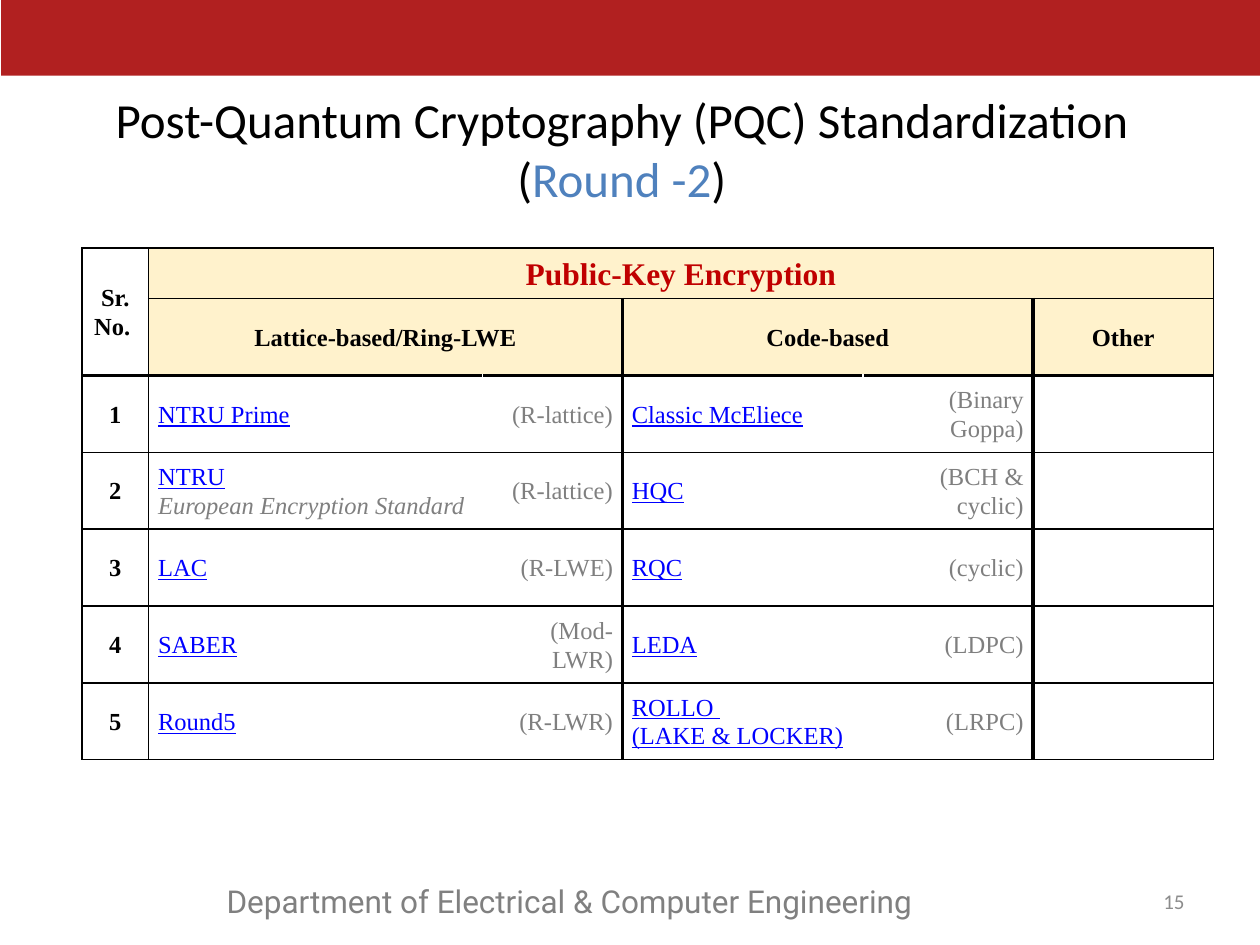
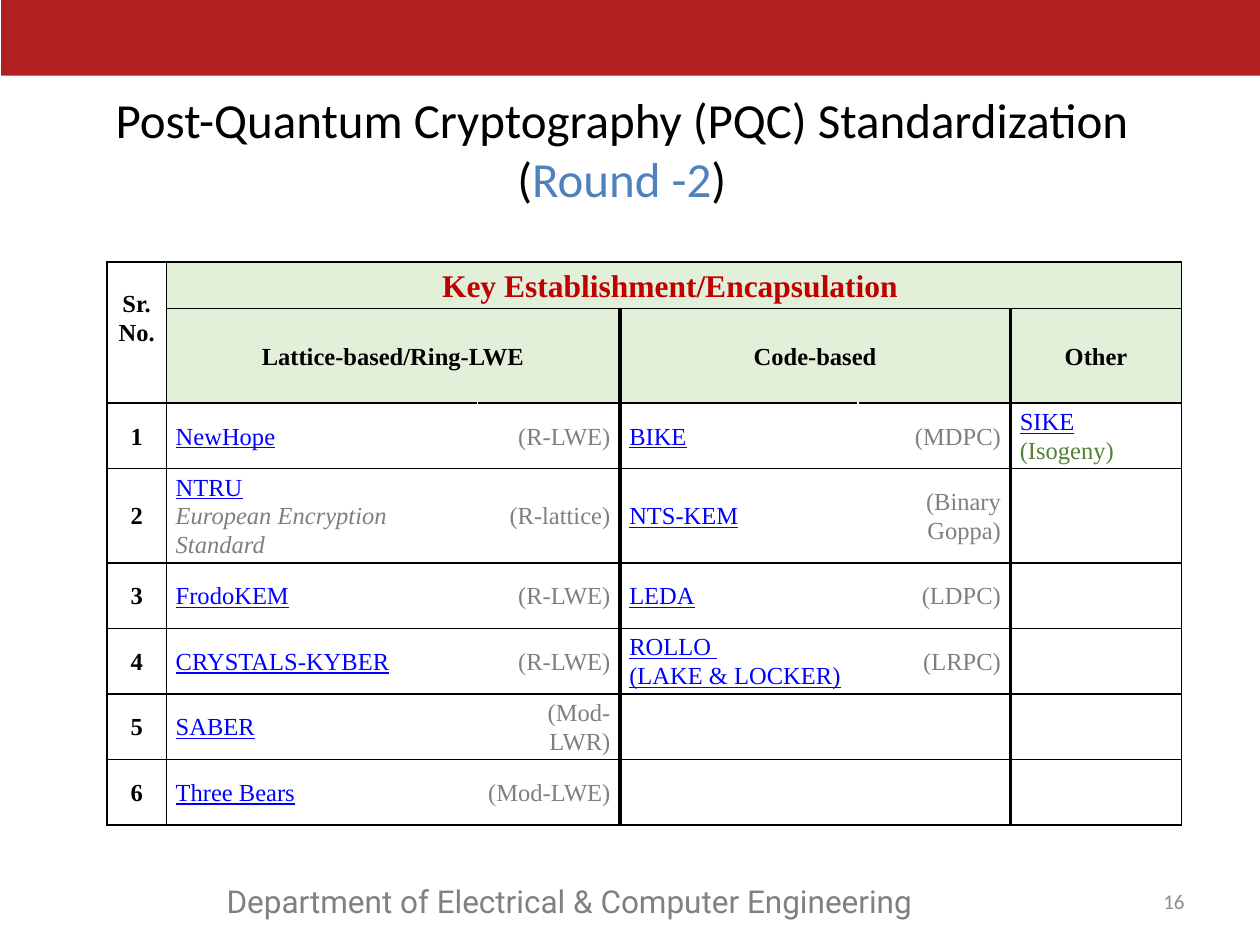
from dataclasses import dataclass

import lxml.etree
import pptx
import pptx.dml.color
import pptx.enum.shapes
import pptx.enum.text
import pptx.oxml.ns
import pptx.util

Inches = pptx.util.Inches
Pt = pptx.util.Pt
ALIGN = pptx.enum.text.PP_ALIGN
MIDDLE = pptx.enum.text.MSO_ANCHOR.MIDDLE
TOP = pptx.enum.text.MSO_ANCHOR.TOP


@dataclass(frozen=True)
class Look:
    size: float
    color: str
    face: str = "Times New Roman"
    bold: bool = False
    italic: bool = False
    under: bool = False


@dataclass(frozen=True)
class Theme:
    band: str = "B12020"
    line: str = "000000"
    blank: str = "FFFFFF"
    cream: str = "FFF2CC"
    green: str = "E2EFD9"
    title: Look = Look(28, "000000", "Calibri")
    round: Look = Look(28, "4F81BD", "Calibri")
    foot: Look = Look(18, "808080", "Roboto")
    number: Look = Look(12, "8C8C8C", "Calibri")
    group: Look = Look(18, "C00000", bold=True)
    head: Look = Look(14, "000000", bold=True)
    link: Look = Look(14, "0000FF", under=True)
    note: Look = Look(14, "7F7F7F")
    alias: Look = Look(14, "7F7F7F", italic=True)
    other: Look = Look(14, "538135")


THEME = Theme()

# Line colour and width at each column edge, left to right.
EDGES = [(THEME.line, 1), (THEME.line, 1), (THEME.blank, 1), (THEME.line, 2.25),
         (THEME.blank, 1), (THEME.line, 2.25), (THEME.line, 1)]

STANDARD = ("\nEuropean Encryption Standard", THEME.alias)
ROLLO = "ROLLO \n(LAKE & LOCKER)"

# Each row: lattice scheme, its kind, code scheme, its kind, other scheme.
# A scheme is a name, or a name followed by one styled run.
CIPHERS = [
    ("NTRU Prime", "(R-lattice)", "Classic McEliece", "(Binary Goppa)", ""),
    (("NTRU", STANDARD), "(R-lattice)", "HQC", "(BCH & cyclic)", ""),
    ("LAC", "(R-LWE)", "RQC", "(cyclic)", ""),
    ("SABER", "(Mod-LWR)", "LEDA", "(LDPC)", ""),
    ("Round5", "(R-LWR)", ROLLO, "(LRPC)", ""),
]
KEMS = [
    ("NewHope", "(R-LWE)", "BIKE", "(MDPC)",
     ("SIKE", (" (Isogeny)", THEME.other))),
    (("NTRU", STANDARD), "(R-lattice)", "NTS-KEM", "(Binary Goppa)", ""),
    ("FrodoKEM", "(R-LWE)", "LEDA", "(LDPC)", ""),
    ("CRYSTALS-KYBER", "(R-LWE)", ROLLO, "(LRPC)", ""),
    ("SABER", "(Mod-LWR)", "", "", ""),
    ("Three Bears", "(Mod-LWE)", "", "", ""),
]


def rgb(color):
    return pptx.dml.color.RGBColor.from_string(color)


def style(font, look):
    font.name, font.size = look.face, Pt(look.size)
    font.bold, font.italic, font.underline = look.bold, look.italic, look.under
    font.color.rgb = rgb(look.color)


def write(frame, runs, align=ALIGN.LEFT, space=None):
    """Fill the first paragraph with (text, look) runs; \\n is a line break."""
    para = frame.paragraphs[0]
    para.alignment = align
    para.line_spacing = space
    shared = len({look for _, look in runs}) == 1
    if shared:
        style(para.font, runs[0][1])
    for text, look in runs:
        for i, part in enumerate(text.split("\n")):
            if i:
                para.add_line_break()
            if part:
                run = para.add_run()
                run.text = part
                if not shared:
                    style(run.font, look)


def add_text(slide, box, text, look, align, anchor):
    frame = slide.shapes.add_textbox(*map(Inches, box)).text_frame
    frame.word_wrap = True
    frame.vertical_anchor = anchor
    write(frame, [(text, look)], align)


def add_band(slide):
    band = slide.shapes.add_shape(
        pptx.enum.shapes.MSO_SHAPE.RECTANGLE,
        Inches(0.01), 0, Inches(10), Inches(0.6))
    band.shadow.inherit = False
    band.fill.solid()
    band.fill.fore_color.rgb = rgb(THEME.band)
    band.line.fill.background()


def set_title(slide):
    title = slide.shapes.title
    title.left, title.top = Inches(0.37), Inches(0.81)
    title.width, title.height = Inches(9.13), Inches(0.74)
    frame = title.text_frame
    frame.auto_size = pptx.enum.text.MSO_AUTO_SIZE.NONE
    frame.vertical_anchor = MIDDLE
    write(frame, [("Post-Quantum Cryptography (PQC) Standardization (", THEME.title),
                  ("Round -2", THEME.round), (")", THEME.title)], ALIGN.CENTER)


def add_frame(deck, number):
    """Add a slide with the shared band, title and footer."""
    slide = deck.slides.add_slide(deck.slide_layouts[5])
    add_band(slide)
    add_text(slide, (1.7, 6.95, 5.77, 0.4),
             "Department of Electrical & Computer Engineering",
             THEME.foot, ALIGN.LEFT, TOP)
    add_text(slide, (8.91, 6.95, 0.59, 0.4), str(number),
             THEME.number, ALIGN.RIGHT, MIDDLE)
    set_title(slide)
    return slide


def set_edge(cell, side, color, width):
    qn = pptx.oxml.ns.qn
    props = cell._tc.get_or_add_tcPr()
    line = lxml.etree.SubElement(props, qn(f"a:ln{side}"), w=str(Pt(width)))
    fill = lxml.etree.SubElement(line, qn("a:solidFill"))
    lxml.etree.SubElement(fill, qn("a:srgbClr"), val=color)


def set_cell(table, row, col, runs, align=ALIGN.CENTER, fill=None, span=(1, 1)):
    cell = table.cell(row, col)
    down, across = span
    if span != (1, 1):
        cell.merge(table.cell(row + down - 1, col + across - 1))
    set_edge(cell, "L", *EDGES[col])
    set_edge(cell, "R", *EDGES[col + across])
    for side, edge in (("T", row), ("B", row + down)):
        set_edge(cell, side, THEME.line, 1.5 if edge == 2 else 1)
    if fill:
        cell.fill.solid()
        cell.fill.fore_color.rgb = rgb(fill)
    else:
        cell.fill.background()
    cell.vertical_anchor = MIDDLE
    cell.margin_left = cell.margin_right = Pt(5.4)
    cell.margin_top = cell.margin_bottom = 0
    if runs:
        write(cell.text_frame, runs, align, 1.07)


def scheme(entry):
    """Turn a scheme entry into styled runs."""
    if not entry:
        return []
    if isinstance(entry, str):
        return [(entry, THEME.link)]
    name, extra = entry
    return [(name, THEME.link), extra]


def add_heads(table, group, fill):
    set_cell(table, 0, 0, [("Sr. No.\u00a0".replace("\u00a0", chr(160)), THEME.head)],
             span=(2, 1))
    set_cell(table, 0, 1, [(group, THEME.group)], fill=fill, span=(1, 5))
    for col, text, across in ((1, "Lattice-based/Ring-LWE", 2),
                              (3, "Code-based", 2), (5, "Other", 1)):
        set_cell(table, 1, col, [(text, THEME.head)], fill=fill, span=(1, across))


def add_grid(slide, spot, cols, rows, group, fill, items):
    """Add a table of schemes; rows holds two head heights and the body height."""
    heights = [*rows[:2], *[rows[2]] * len(items)]
    size = sum(cols), sum(heights)
    table = slide.shapes.add_table(
        len(heights), len(cols), *map(Inches, (*spot, *size))).table
    table.first_row = table.horz_banding = False
    for col, width in zip(table.columns, cols):
        col.width = Inches(width)
    for row, height in zip(table.rows, heights):
        row.height = Inches(height)
    add_heads(table, group, fill)
    for row, entries in enumerate(items, 2):
        set_cell(table, row, 0, [(str(row - 1), THEME.head)])
        for col, entry in enumerate(entries, 1):
            if col in (2, 4):
                runs = [(entry, THEME.note)] if entry else []
                set_cell(table, row, col, runs, ALIGN.RIGHT)
            else:
                set_cell(table, row, col, scheme(entry), ALIGN.LEFT)


def main():
    deck = pptx.Presentation()
    deck.slide_width, deck.slide_height = Inches(10), Inches(7.5)
    add_grid(add_frame(deck, 15), (0.65, 1.97),
             (0.53, 2.65, 1.11, 1.91, 1.35, 1.43), (0.4, 0.61, 0.61),
             "Public-Key Encryption", THEME.cream, CIPHERS)
    add_grid(add_frame(deck, 16), (0.85, 2.08),
             (0.47, 2.47, 1.13, 1.89, 1.21, 1.36), (0.37, 0.54, 0.52),
             "Key Establishment/Encapsulation ", THEME.green, KEMS)
    deck.save("out.pptx")


if __name__ == "__main__":
    main()
